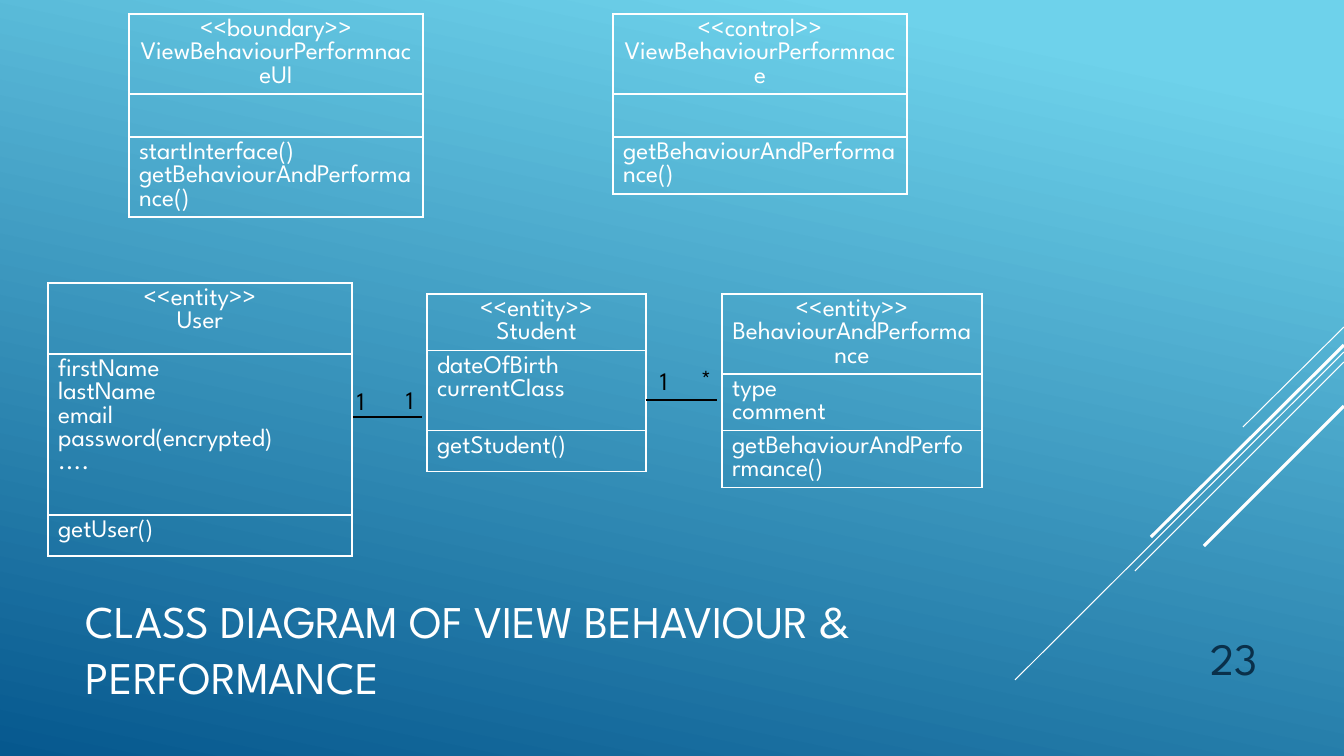
from lxml import etree
from pptx import Presentation
from pptx.dml.color import RGBColor
from pptx.enum.shapes import MSO_CONNECTOR
from pptx.enum.text import MSO_ANCHOR, PP_ALIGN
from pptx.oxml.ns import qn
from pptx.util import Emu, Pt

LEFT, CENTER, RIGHT = PP_ALIGN.LEFT, PP_ALIGN.CENTER, PP_ALIGN.RIGHT
TOP, MIDDLE, BOTTOM = MSO_ANCHOR.TOP, MSO_ANCHOR.MIDDLE, MSO_ANCHOR.BOTTOM
STRAIGHT = MSO_CONNECTOR.STRAIGHT
FONT = "League Spartan"
WHITE, BLACK, NAVY = "FFFFFF", "000000", "0A304A"
SKY, DEEP_BLUE = "6ED2EB", "06588E"

CLASSES = [
    (129, 14, 294, [80, 43, 80],
     [["<<boundary>>", "ViewBehaviourPerformnaceUI"], [""],
      ["startInterface()", "getBehaviourAndPerformance()"]]),
    (613, 14, 294, [80, 43, 57],
     [["<<control>>", "ViewBehaviourPerformnace"], [""],
      ["getBehaviourAndPerformance()"]]),
    (48, 283, 304, [71, 161, 41],
     [["<<entity>>", "User"],
      ["firstName", "lastName", "email", "password(encrypted)", "...."],
      ["getUser()"]]),
    (427, 294, 219, [56, 80, 41],
     [["<<entity>>", "Student"], ["dateOfBirth", "currentClass"],
      ["getStudent()"]]),
    (722, 294, 260, [80, 56, 57],
     [["<<entity>>", "BehaviourAndPerformance"], ["type", "comment"],
      ["getBehaviourAndPerformance()"]]),
]
ASSOCIATIONS = [
    (353, 422, 417, [("1", 347, 380), ("1", 396, 379)]),
    (646, 717, 400, [("1", 650, 360), ("*", 691, 358)]),
]
STREAKS = [
    (327, 1243, 427, 0.75),
    (352, 1015, 680, 0.75),
    (362, 1135, 571, 0.75),
    (345, 1151, 537, 2.25),
    (406, 1204, 546, 2.25),
]


def px(n):
    return Emu(round(n * 914400 / 100.8))


def rgb(color):
    return RGBColor.from_string(color)


def write(tf, lines, size, color, align=LEFT):
    tf.text = "\n".join(lines)
    for p in tf.paragraphs:
        p.alignment = align
        p.font.size = Pt(size)
        p.font.name = FONT
        p.font.color.rgb = rgb(color)


def add_text(slide, box, text, size, color, align=LEFT, anchor=TOP, wrap=True):
    tf = slide.shapes.add_textbox(*map(px, box)).text_frame
    tf.word_wrap = wrap
    tf.vertical_anchor = anchor
    write(tf, [text], size, color, align)
    return tf


def add_line(slide, x1, y1, x2, y2, color, width):
    c = slide.shapes.add_connector(STRAIGHT, px(x1), px(y1), px(x2), px(y2))
    c.line.color.rgb = rgb(color)
    c.line.width = Pt(width)
    etree.SubElement(c._element.spPr, qn("a:effectLst"))


def outline_cell(cell, color):
    cell.fill.background()
    tcPr = cell._tc.get_or_add_tcPr()
    for i, side in enumerate(("lnL", "lnR", "lnT", "lnB")):
        ln = etree.Element(qn(f"a:{side}"), w=str(Pt(1)))
        fill = etree.SubElement(ln, qn("a:solidFill"))
        etree.SubElement(fill, qn("a:srgbClr"), val=color)
        tcPr.insert(i, ln)


def add_class(slide, x, y, w, heights, sections):
    frame = slide.shapes.add_table(len(sections), 1, px(x), px(y), px(w), px(sum(heights)))
    table = frame.table
    table.first_row = table.horz_banding = False
    for i, (h, lines) in enumerate(zip(heights, sections)):
        table.rows[i].height = px(h)
        cell = table.cell(i, 0)
        write(cell.text_frame, lines, 18, WHITE, LEFT if i else CENTER)
        outline_cell(cell, WHITE)


def add_association(slide, x1, x2, y, labels):
    add_line(slide, x1, y, x2, y, BLACK, 1.25)
    for text, x, top in labels:
        add_text(slide, (x, top, 30, 40), text, 18, BLACK, wrap=False)


def add_backdrop(slide, right):
    fill = slide.background.fill
    fill.gradient()
    fill.gradient_angle = 258
    for stop, position, color in zip(fill.gradient_stops, (0.1, 1), (SKY, DEEP_BLUE)):
        stop.position = position
        stop.color.rgb = rgb(color)
    for y1, x2, y2, width in STREAKS:
        add_line(slide, right, y1, x2, y2, WHITE, width)


def add_footer(slide, x, y):
    title = add_text(slide, (x, y, 940, 25),
                     "CLASS DIAGRAM OF VIEW BEHAVIOUR & PERFORMANCE",
                     32.4, WHITE, anchor=MIDDLE)
    title.paragraphs[0].line_spacing = Pt(40)
    add_text(slide, (x + 1066, y - 20, 126, 74), "23", 32, NAVY, RIGHT, BOTTOM)


def main():
    prs = Presentation()
    prs.slide_width, prs.slide_height = px(1344), px(756)
    slide = prs.slides.add_slide(prs.slide_layouts[6])
    add_backdrop(slide, 1344)
    for uml_class in CLASSES:
        add_class(slide, *uml_class)
    for association in ASSOCIATIONS:
        add_association(slide, *association)
    add_footer(slide, 76, 635)
    prs.save("out.pptx")


if __name__ == "__main__":
    main()
